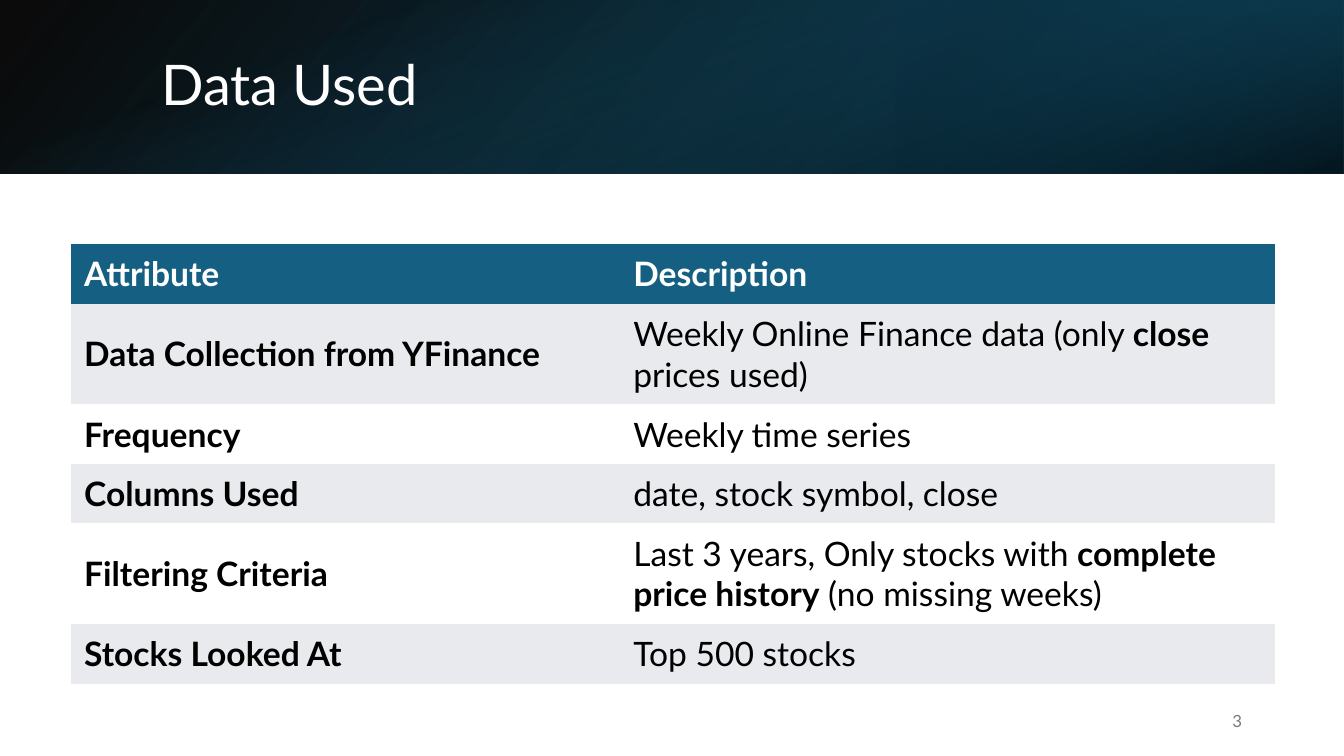
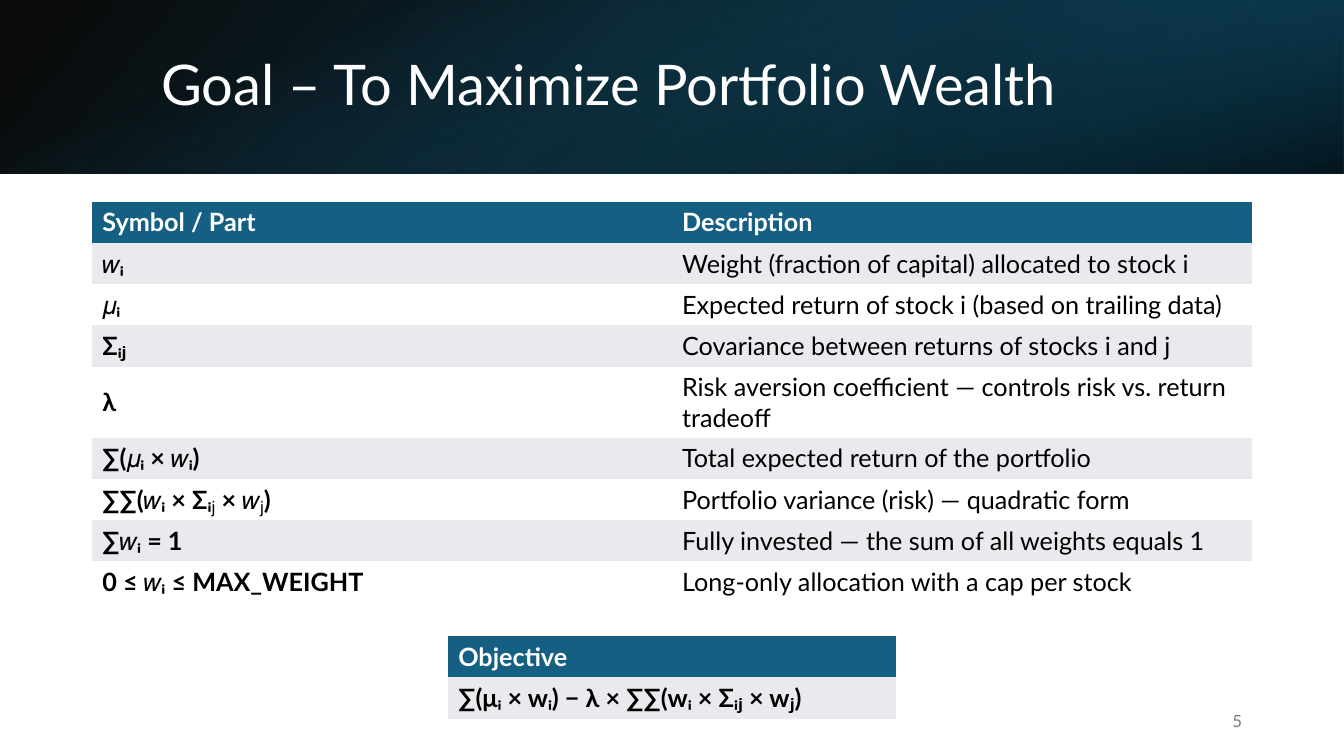
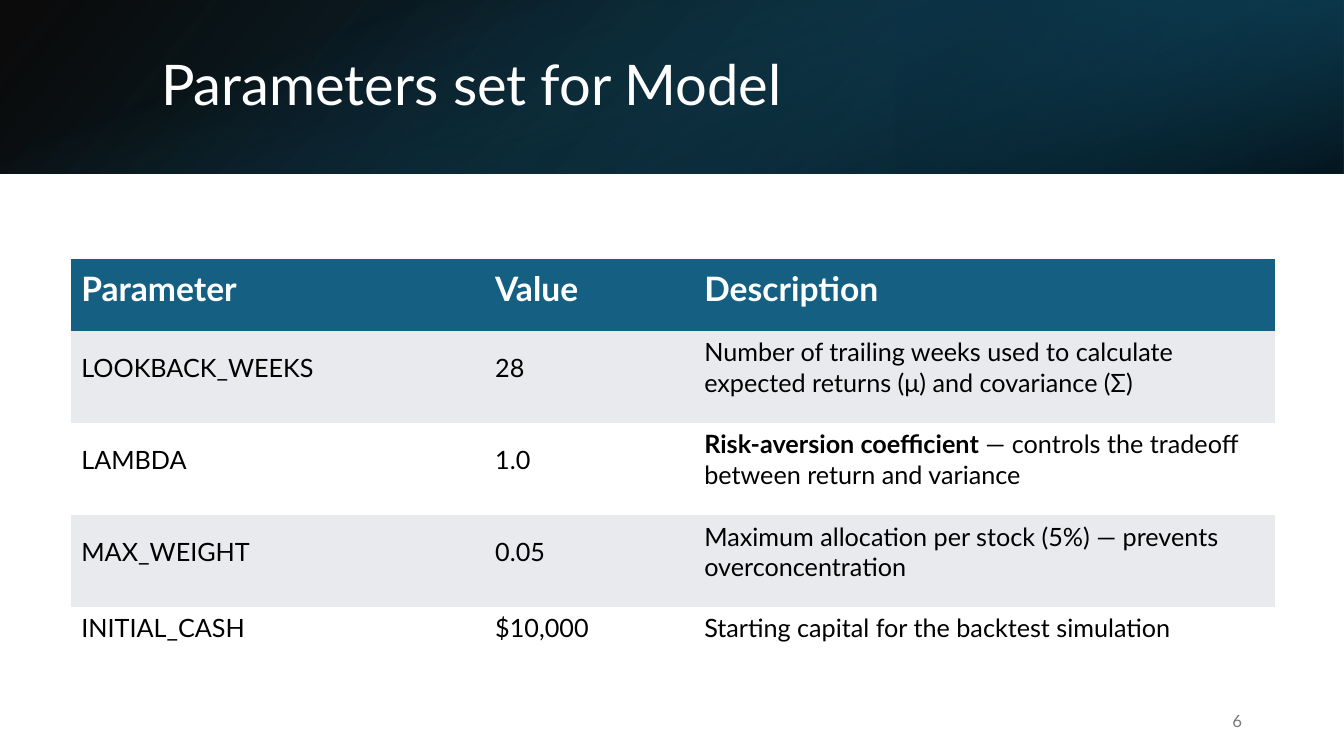
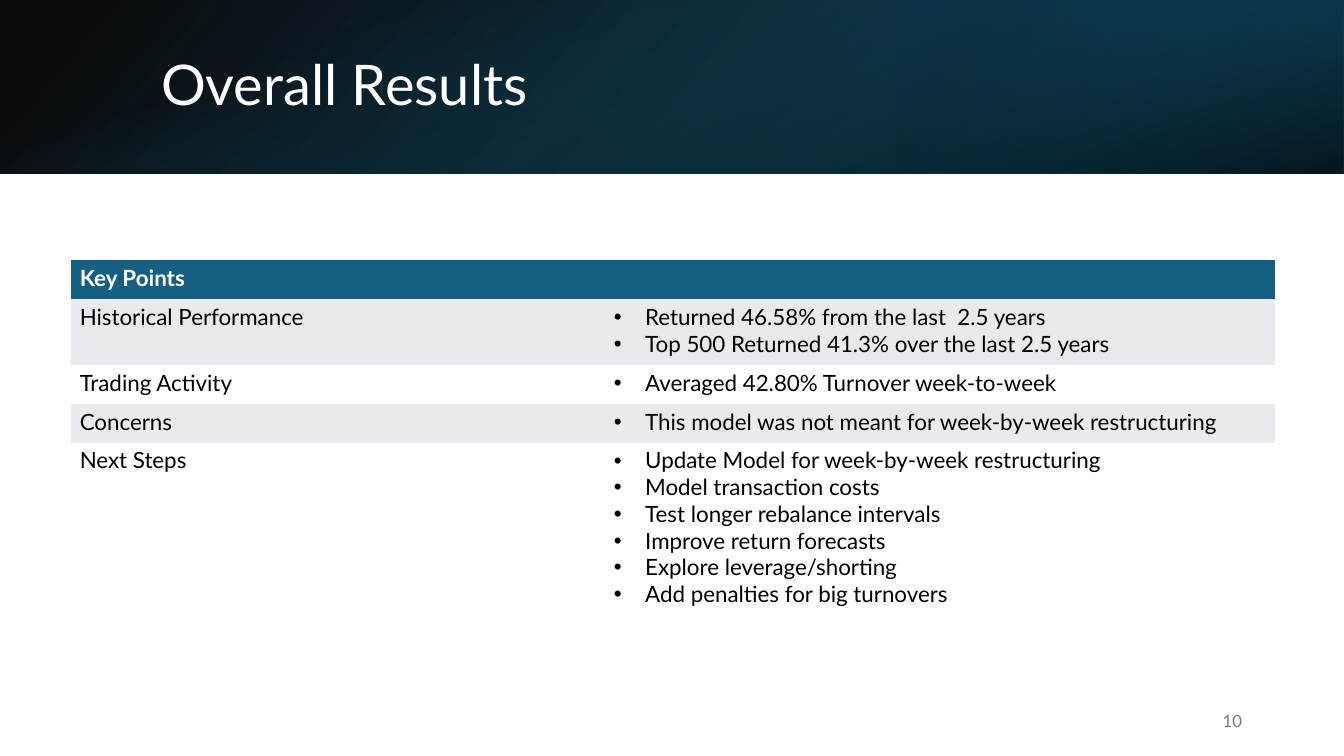
from lxml.etree import SubElement
from pptx import Presentation
from pptx.dml.color import RGBColor
from pptx.enum.shapes import MSO_SHAPE
from pptx.enum.text import MSO_ANCHOR, MSO_AUTO_SIZE, PP_ALIGN
from pptx.oxml.ns import qn
from pptx.util import Cm, Pt

WHITE = RGBColor(0xFF, 0xFF, 0xFF)
BLACK = RGBColor(0x00, 0x00, 0x00)
TEAL = RGBColor(0x15, 0x60, 0x82)
DEEP_TEAL = RGBColor(0x10, 0x48, 0x62)
NIGHT_TEAL = RGBColor(0x0B, 0x30, 0x41)
STRIPE = RGBColor(0xE8, 0xEA, 0xED)
GREY = RGBColor(0x79, 0x79, 0x79)

FONT = "Lato"
PLAIN_TABLE_STYLE = "{2D5ABB26-0587-4C30-8999-92F81FD0307C}"
SLIDE_W, SLIDE_H = 33.87, 19.05
BAND_H = 4.37
MARGIN = 1.78
BULLET_INDENT = 0.79


def add_bullet(paragraph):
    properties = paragraph._p.get_or_add_pPr()
    indent = Cm(BULLET_INDENT)
    properties.set("marL", str(indent))
    properties.set("indent", str(-indent))
    SubElement(properties, qn("a:buFont")).set("typeface", "Arial")
    SubElement(properties, qn("a:buChar")).set("char", "•")


def write(frame, text, size=18, color=BLACK, bold=False, align=PP_ALIGN.LEFT,
          spacing=None, bullets=False):
    """Fill a text frame: one paragraph per line, **…** switches bold."""
    for i, line in enumerate(text.split("\n")):
        paragraph = frame.add_paragraph() if i else frame.paragraphs[0]
        paragraph.alignment = align
        if spacing:
            paragraph.line_spacing = spacing
        if bullets:
            add_bullet(paragraph)
        for j, part in enumerate(line.split("**")):
            if part:
                run = paragraph.add_run()
                run.text = part
                run.font.name = FONT
                run.font.size = Pt(size)
                run.font.color.rgb = color
                run.font.bold = bold or j % 2 == 1


def add_gradient(slide, box, stops, angle, rotation=0, flip=False):
    """Add a rectangle with (position, colour, opacity) stops, all in percent."""
    layer = slide.shapes.add_shape(MSO_SHAPE.RECTANGLE, *map(Cm, box))
    layer.shadow.inherit = False
    layer.line.fill.background()
    layer.rotation = rotation
    if flip:
        layer.element.spPr.find(qn("a:xfrm")).set("flipH", "1")
    layer.fill.gradient()
    layer.fill.gradient_angle = 360 - angle
    for stop, (position, color, _) in zip(layer.fill.gradient_stops, stops):
        stop.position = position / 100
        stop.color.rgb = color
    colors = layer.element.spPr.iter(qn("a:srgbClr"))
    for color, (_, _, opacity) in zip(list(colors), stops):
        SubElement(color, qn("a:alpha")).set("val", str(opacity * 1000))


def add_title_band(slide, width, height):
    add_gradient(slide, (0, 0, width, height),
                 [(0, BLACK, 96), (100, DEEP_TEAL, 100)], 140, flip=True)
    add_gradient(slide, (width * 2 / 3, 0, width / 3, height),
                 [(19, NIGHT_TEAL, 68), (100, TEAL, 79)], 320, rotation=180, flip=True)
    offset = (width - height) / 2
    add_gradient(slide, (offset, -offset, height, width),
                 [(23, TEAL, 0), (99, BLACK, 74)], 340, rotation=90)


def add_titled_slide(deck, title, number):
    slide = deck.slides.add_slide(deck.slide_layouts[5])
    add_title_band(slide, SLIDE_W, BAND_H)

    heading = slide.shapes.title
    heading.element.getparent().append(heading.element)  # in front of the band
    heading.left, heading.top = Cm(MARGIN + 2.03), Cm(0.97)
    heading.width, heading.height = Cm(27.89), Cm(2.44)
    heading.text_frame.vertical_anchor = MSO_ANCHOR.MIDDLE
    heading.text_frame.auto_size = MSO_AUTO_SIZE.NONE
    write(heading.text_frame, title, size=40, color=WHITE, spacing=0.9)

    page = slide.shapes.add_textbox(Cm(23.93), Cm(17.65), Cm(7.62), Cm(1.02))
    page.text_frame.word_wrap = True
    page.text_frame.vertical_anchor = MSO_ANCHOR.MIDDLE
    write(page.text_frame, str(number), size=12, color=GREY, align=PP_ALIGN.RIGHT)
    return slide


def add_striped_table(slide, left, top, widths, heights, rows, size=18,
                      header_size=None, insets=(0.25, 0.13, 0.25, 0.13),
                      anchor=MSO_ANCHOR.MIDDLE, header_anchor=None,
                      bold_first=False, bullet_last=False):
    """Add a table with a teal header row; insets are left, top, right, bottom."""
    table = slide.shapes.add_table(
        len(rows), len(widths), Cm(left), Cm(top),
        Cm(sum(widths)), Cm(sum(heights))).table
    table._tbl.tblPr.find(qn("a:tableStyleId")).text = PLAIN_TABLE_STYLE
    for column, width in zip(table.columns, widths):
        column.width = Cm(width)
    for r, (texts, height) in enumerate(zip(rows, heights)):
        table.rows[r].height = Cm(height)
        header = r == 0
        for c, text in enumerate(texts):
            cell = table.cell(r, c)
            cell.fill.solid()
            cell.fill.fore_color.rgb = TEAL if header else STRIPE if r % 2 else WHITE
            (cell.margin_left, cell.margin_top,
             cell.margin_right, cell.margin_bottom) = map(Cm, insets)
            cell.vertical_anchor = header_anchor if header and header_anchor else anchor
            write(cell.text_frame, text,
                  size=header_size if header and header_size else size,
                  color=WHITE if header else BLACK,
                  bold=header or (bold_first and c == 0),
                  bullets=bullet_last and not header and c == len(texts) - 1)


def build_data_slide(deck):
    slide = add_titled_slide(deck, "Data Used", 3)
    rows = [
        ("Attribute", "Description"),
        ("Data Collection from YFinance",
         "Weekly Online Finance data (only **close** prices used)"),
        ("Frequency", "Weekly time series"),
        ("Columns Used", "date, stock symbol, close"),
        ("Filtering Criteria",
         "Last 3 years, Only stocks with **complete price history** (no missing weeks)"),
        ("Stocks Looked At", "Top 500 stocks"),
    ]
    add_striped_table(slide, MARGIN, 6.15, [13.84, 16.51],
                      [1.5, 2.54, 1.5, 1.5, 2.54, 1.5], rows, size=24,
                      insets=(0.34, 0.17, 0.34, 0.17), bold_first=True)


def build_goal_slide(deck):
    slide = add_titled_slide(deck, "Goal – To Maximize Portfolio Wealth", 5)
    row_height = 1.04
    objective = [("Objective",), ("∑(μᵢ × wᵢ) − λ × ∑∑(wᵢ × Σᵢⱼ × wⱼ)",)]
    add_striped_table(slide, 11.3, 16.03, [11.28], [row_height] * 2, objective,
                      bold_first=True)
    symbols = [
        ("Symbol / Part", "Description"),
        ("𝑤ᵢ", "Weight (fraction of capital) allocated to stock i"),
        ("𝜇ᵢ", "Expected return of stock i (based on trailing data)"),
        ("Σᵢⱼ", "Covariance between returns of stocks i and j"),
        ("λ", "Risk aversion coefficient — controls risk vs. return tradeoff"),
        ("∑(𝜇ᵢ × 𝑤ᵢ)", "Total expected return of the portfolio"),
        ("∑∑(𝑤ᵢ × Σᵢⱼ × 𝑤ⱼ)", "Portfolio variance (risk) — quadratic form"),
        ("∑𝑤ᵢ = 1", "Fully invested — the sum of all weights equals 1"),
        ("0 ≤ 𝑤ᵢ ≤ MAX_WEIGHT", "Long-only allocation with a cap per stock"),
    ]
    heights = [row_height] * 4 + [1.77] + [row_height] * 4
    add_striped_table(slide, 2.33, 5.08, [14.61, 14.61], heights, symbols,
                      bold_first=True)


def build_parameters_slide(deck):
    slide = add_titled_slide(deck, "Parameters set for Model", 6)
    rows = [
        ("Parameter", "Value", "Description"),
        ("LOOKBACK_WEEKS", "28",
         "Number of trailing weeks used to calculate expected returns (μ) "
         "and covariance (Σ)"),
        ("LAMBDA", "1.0",
         "**Risk-aversion coefficient** — controls the tradeoff between return "
         "and variance"),
        ("MAX_WEIGHT", "0.05",
         "Maximum allocation per stock (5%) — prevents overconcentration"),
        ("INITIAL_CASH", "$10,000", "Starting capital for the backtest simulation"),
    ]
    add_striped_table(slide, MARGIN, 6.53, [10.43, 5.27, 14.65],
                      [1.8, 2.32, 2.32, 2.32, 1.55], rows, header_size=24,
                      insets=(0.27, 0.08, 0.38, 0.55),
                      header_anchor=MSO_ANCHOR.BOTTOM)


def build_results_slide(deck):
    slide = add_titled_slide(deck, "Overall Results", 10)
    rows = [
        ("Key Points", ""),
        ("Historical Performance",
         "Returned 46.58% from the last  2.5 years\n"
         "Top 500 Returned 41.3% over the last 2.5 years"),
        ("Trading Activity", "Averaged 42.80% Turnover week-to-week"),
        ("Concerns", "This model was not meant for week-by-week restructuring"),
        ("Next Steps",
         "Update Model for week-by-week restructuring\n"
         "Model transaction costs\n"
         "Test longer rebalance intervals\n"
         "Improve return forecasts\n"
         "Explore leverage/shorting\n"
         "Add penalties for big turnovers"),
    ]
    add_striped_table(slide, MARGIN, 6.55, [13.46, 16.89],
                      [0.98, 1.66, 0.98, 0.98, 4.34], rows, size=16,
                      insets=(0.23, 0.11, 0.23, 0.11), anchor=MSO_ANCHOR.TOP,
                      bullet_last=True)


def main():
    deck = Presentation()
    deck.slide_width, deck.slide_height = Cm(SLIDE_W), Cm(SLIDE_H)
    build_data_slide(deck)
    build_goal_slide(deck)
    build_parameters_slide(deck)
    build_results_slide(deck)
    deck.save("out.pptx")


if __name__ == "__main__":
    main()
